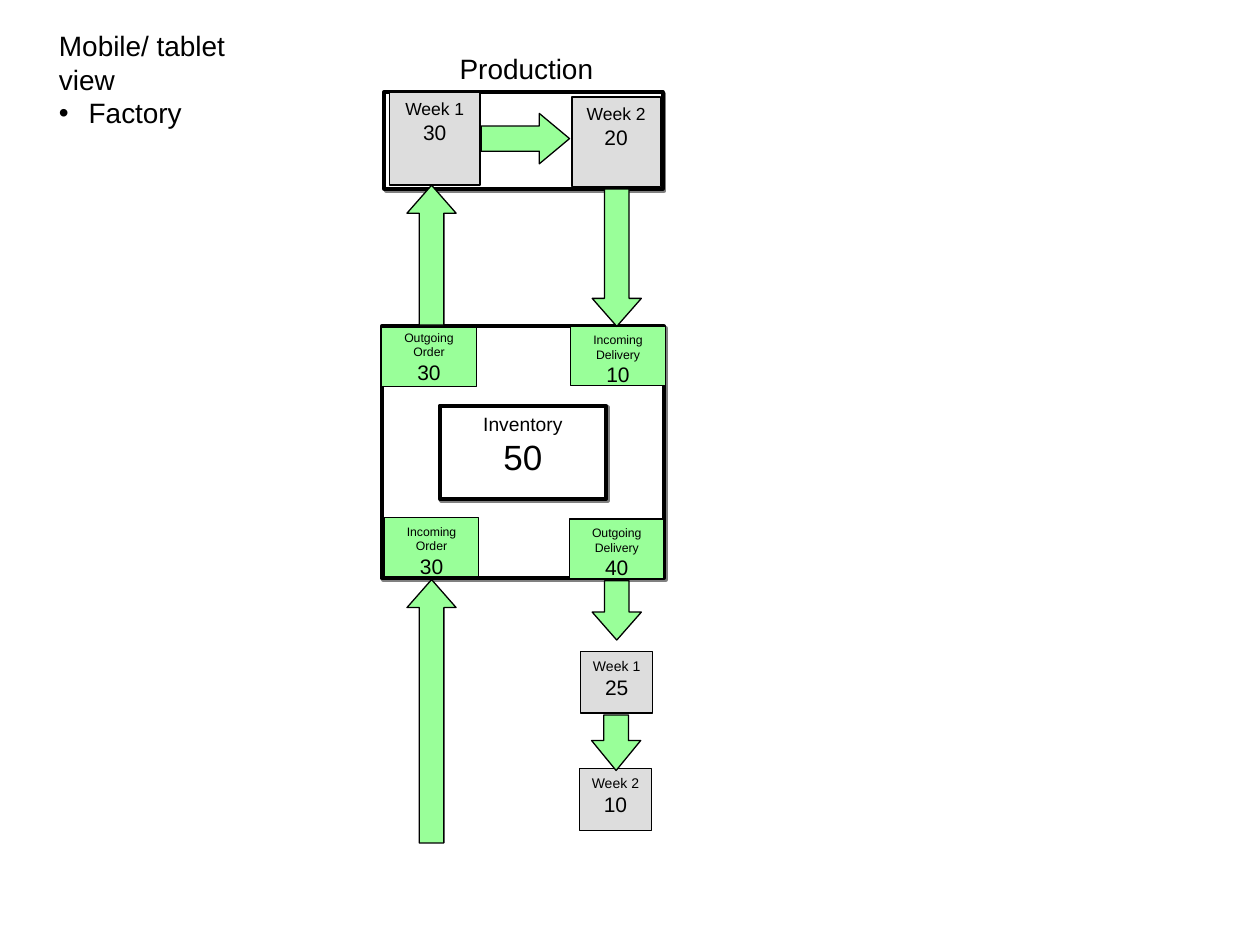
import pptx
import pptx.util
import pptx.dml.color
import pptx.enum.shapes
import pptx.enum.text
import pptx.oxml
import pptx.oxml.ns

COLORS = {"ink": "000000", "paper": "FFFFFF", "stage": "DDDDDD", "flow": "99FF99", "shade": "808080"}
SHAPES = pptx.enum.shapes.MSO_SHAPE
ANCHORS = pptx.enum.text.MSO_ANCHOR
ALIGNS = pptx.enum.text.PP_ALIGN
NAMESPACE = pptx.oxml.ns.nsdecls("a")

deck = pptx.Presentation()
deck.slide_width = pptx.util.Inches(10)
deck.slide_height = pptx.util.Inches(7.5)
page = deck.slides.add_slide(deck.slide_layouts[6])
column = deck.slide_width / 100
row = deck.slide_height / 75


def add_block(kind, place, fill, weight=0.75):
    left, top, width, height = place
    block = page.shapes.add_shape(
        kind, round(left * column), round(top * row), round(width * column), round(height * row)
    )
    block.shadow.inherit = False
    block.fill.solid()
    block.fill.fore_color.rgb = pptx.dml.color.RGBColor.from_string(COLORS[fill])
    block.line.color.rgb = pptx.dml.color.RGBColor.from_string(COLORS["ink"])
    block.line.width = pptx.util.Pt(weight)
    if weight > 1:
        effects = block._element.spPr.find(pptx.oxml.ns.qn("a:effectLst"))
        effects.append(pptx.oxml.parse_xml(
            f'<a:outerShdw {NAMESPACE} dist="17780" dir="2700000" algn="ctr" rotWithShape="0">'
            f'<a:srgbClr val="{COLORS["shade"]}"/></a:outerShdw>'
        ))
    return block


def write_lines(box, lines, sizes, align, anchor=ANCHORS.TOP):
    frame = box.text_frame
    frame.word_wrap = False
    frame.vertical_anchor = anchor
    frame.text = "\n".join(lines)
    for para, size in zip(frame.paragraphs, sizes):
        para.alignment = align
        for span in para.runs:
            span.font.name = "Arial"
            span.font.size = pptx.util.Pt(size)
            span.font.color.rgb = pptx.dml.color.RGBColor.from_string(COLORS["ink"])


for frame_place in [(30.5, 7.3, 22.1, 7.7), (30.3, 25.9, 22.4, 20)]:
    add_block(SHAPES.RECTANGLE, frame_place, "paper", 2.25)

inventory = add_block(SHAPES.RECTANGLE, (34.9, 32.2, 13.2, 7.4), "paper", 2.25)
write_lines(inventory, ["Inventory", "50"], [11, 20], ALIGNS.CENTER)

transfers = [
    (30.3, 26, "Outgoing", "Order", "30", ANCHORS.MIDDLE),
    (30.5, 41.1, "Incoming", "Order", "30", ANCHORS.TOP),
    (45.3, 25.9, "Incoming", "Delivery", "10", ANCHORS.TOP),
    (45.2, 41.2, "Outgoing", "Delivery", "40", ANCHORS.TOP),
]
for left, top, direction, item, amount, anchor in transfers:
    box = add_block(SHAPES.RECTANGLE, (left, top, 7.5, 4.7), "flow")
    write_lines(box, [direction, item, amount], [7, 7, 12], ALIGNS.CENTER, anchor)

weeks = [
    ((30.9, 7.3, 7.2, 7.4), "Week 1", "30", 10),
    ((45.4, 7.7, 7, 7.1), "Week 2", "20", 10),
    ((46.1, 51.7, 5.7, 4.9), "Week 1", "25", 8),
    ((46, 61, 5.7, 4.9), "Week 2", "10", 8),
]
for place, week, amount, label_size in weeks:
    box = add_block(SHAPES.RECTANGLE, place, "stage")
    write_lines(box, [week, amount], [label_size, 12], ALIGNS.CENTER)

arrows = [
    ((28.7, 18.3, 11.1, 3.9), 90, 0.57),
    ((46.6, 46.5, 4.7, 3.9), 270, 0.57),
    ((43.5, 18.5, 10.9, 3.9), 270, 0.57),
    ((23.8, 54.5, 20.9, 3.9), 90, 0.57),
    ((38.2, 9, 7, 4), 180, 0.6),
    ((46.7, 57, 4.4, 3.9), 270, 0.61),
]
for place, angle, head in arrows:
    arrow = add_block(SHAPES.LEFT_ARROW, place, "flow")
    arrow.rotation = angle
    arrow.adjustments[0] = 0.5
    arrow.adjustments[1] = head

headings = [
    ((35.5, 3.6, 12.6, 3.7), ["Production"]),
    ((3.7, 1.8, 19, 6.4), ["Mobile/ tablet view", "Factory"]),
]
for (left, top, width, height), lines in headings:
    heading = page.shapes.add_textbox(
        round(left * column), round(top * row), round(width * column), round(height * row)
    )
    write_lines(heading, lines, [16] * len(lines), ALIGNS.LEFT)

bullet = heading.text_frame.paragraphs[1]._p.get_or_add_pPr()
bullet.set("marL", str(round(2.36 * column)))
bullet.set("indent", str(round(-2.36 * column)))
for element in [
    f'<a:buClr {NAMESPACE}><a:srgbClr val="{COLORS["ink"]}"/></a:buClr>',
    f'<a:buFont {NAMESPACE} typeface="Arial"/>',
    f'<a:buChar {NAMESPACE} char="•"/>',
]:
    bullet.append(pptx.oxml.parse_xml(element))

deck.save("out.pptx")
